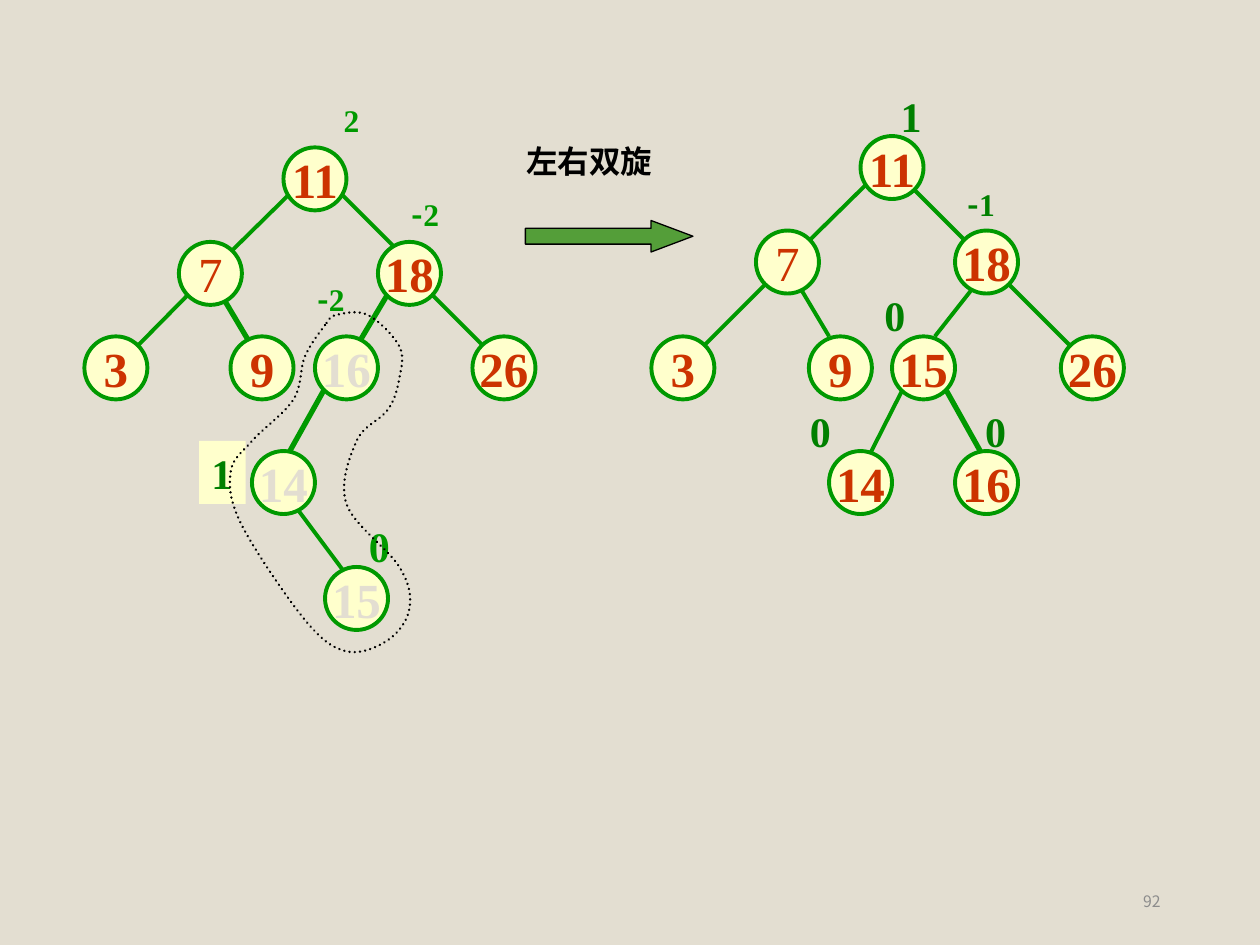
"""Draw a left-right double rotation of a balanced binary tree."""
from dataclasses import dataclass

from lxml.etree import SubElement
from pptx import Presentation
from pptx.dml.color import RGBColor
from pptx.enum.dml import MSO_LINE
from pptx.enum.shapes import MSO_CONNECTOR, MSO_SHAPE
from pptx.enum.text import MSO_ANCHOR as Anchor, MSO_AUTO_SIZE as AutoSize, PP_ALIGN as Align
from pptx.oxml.ns import qn
from pptx.slide import Slide
from pptx.util import Inches, Pt

SAND = RGBColor(0xE3, 0xDE, 0xD1)
CREAM = RGBColor(0xFF, 0xFF, 0xCC)
GREEN = RGBColor(0x00, 0x99, 0x00)
DARK_GREEN = RGBColor(0x00, 0x80, 0x00)
LEAF = RGBColor(0x54, 0x9E, 0x39)
RUST = RGBColor(0xCC, 0x33, 0x00)
GRAY = RGBColor(0x8C, 0x8C, 0x8C)
BLACK = RGBColor(0x00, 0x00, 0x00)

SERIF = "Times New Roman"
SANS = "Noto Sans CJK SC"
NODE_SIZE = 0.5

NODE_FRAME = {"word_wrap": False, "vertical_anchor": Anchor.MIDDLE}
LABEL_FRAME = {"word_wrap": False, "auto_size": AutoSize.SHAPE_TO_FIT_TEXT}
PAGE_FRAME = {"word_wrap": True, "vertical_anchor": Anchor.MIDDLE}


@dataclass(frozen=True)
class Edge:
    start: tuple[float, float]
    end: tuple[float, float]
    weight: float = 2.25


@dataclass(frozen=True)
class Node:
    key: str
    left: float
    top: float
    color: RGBColor = RUST
    bold: bool = True


@dataclass(frozen=True)
class Label:
    text: str
    left: float
    top: float
    width: float = 0.37
    size: int = 24
    color: RGBColor = DARK_GREEN
    fill: RGBColor | None = None


EDGES = [
    Edge((2.42, 1.42), (1.83, 2)), Edge((2.67, 1.5), (3.17, 2)),
    Edge((1.58, 2.25), (0.92, 2.92)), Edge((1.75, 2.33), (2, 2.75), 3),
    Edge((3.08, 2.33), (2.83, 2.75), 3), Edge((3.42, 2.33), (3.92, 2.83)),
    Edge((2.58, 3.08), (2.25, 3.67), 3), Edge((2.33, 4), (2.83, 4.67)),
    Edge((6.92, 1.42), (6.33, 2)), Edge((7.25, 1.5), (7.75, 2)),
    Edge((6.08, 2.25), (5.58, 2.75)), Edge((6.33, 2.25), (6.58, 2.67)),
    Edge((7.75, 2.25), (7.42, 2.67)), Edge((8, 2.25), (8.75, 3)),
    Edge((7.17, 3.08), (6.83, 3.75)), Edge((7.5, 3.08), (7.92, 3.83), 3),
]

NODES = [
    Node("11", 2.25, 1.17), Node("7", 1.42, 1.92, bold=False), Node("18", 3, 1.92),
    Node("3", 0.67, 2.67), Node("9", 1.83, 2.67), Node("16", 2.5, 2.67, SAND),
    Node("26", 3.75, 2.67), Node("14", 2, 3.58, SAND), Node("15", 2.58, 4.5, SAND),
    Node("11", 6.83, 1.08), Node("7", 6, 1.83, bold=False), Node("18", 7.58, 1.83),
    Node("3", 5.17, 2.67), Node("9", 6.42, 2.67), Node("15", 7.08, 2.67),
    Node("26", 8.42, 2.67), Node("14", 6.58, 3.58), Node("16", 7.58, 3.58),
]

LABELS = [
    Label("2", 2.63, 0.75, size=18, color=GREEN),
    Label("-2", 3.17, 1.5, 0.53, 18, GREEN),
    Label("-2", 2.42, 2.17, 0.53, 18, GREEN),
    Label("1", 1.58, 3.5, fill=CREAM),
    Label("0", 2.83, 4.08, color=GREEN),
    Label("左右双旋", 4.08, 1.08, 1.55, 18, BLACK),
    Label("1", 7.05, 0.67),
    Label("-1", 7.58, 1.42, 0.53, 18),
    Label("0", 6.92, 2.25),
    Label("0", 6.33, 3.17),
    Label("0", 7.72, 3.17),
]

ROTATED_PATH = [
    (2.58, 2.58), (2.42, 2.83), (2.33, 3.17), (2, 3.5), (1.83, 3.75), (1.92, 4.17),
    (2.42, 4.92), (2.75, 5.17), (3.08, 5.08), (3.25, 4.83), (3.17, 4.5), (2.75, 4),
    (2.83, 3.5), (3.08, 3.25), (3.17, 3), (3.17, 2.75), (2.92, 2.5), (2.67, 2.5),
]


def apply(target, formats: dict) -> None:
    for name, value in formats.items():
        setattr(target, name, value)


def add_run(paragraph, text: str, face: str, size: int, color: RGBColor, bold: bool) -> None:
    run = paragraph.add_run()
    run.text = text
    apply(run.font, {"name": face, "size": Pt(size), "bold": bold})
    run.font.color.rgb = color
    SubElement(run.font._element, qn("a:ea"), typeface=SANS)


def draw_edge(slide: Slide, edge: Edge) -> None:
    points = [Inches(value) for value in (*edge.start, *edge.end)]
    branch = slide.shapes.add_connector(MSO_CONNECTOR.STRAIGHT, *points)
    branch.line.color.rgb = GREEN
    branch.line.width = Pt(edge.weight)
    SubElement(branch._element.spPr, qn("a:effectLst"))


def add_solid(slide: Slide, preset, box: tuple, fill: RGBColor, line: RGBColor, weight: float):
    solid = slide.shapes.add_shape(preset, *map(Inches, box))
    solid.shadow.inherit = False
    solid.fill.solid()
    solid.fill.fore_color.rgb = fill
    solid.line.color.rgb = line
    solid.line.width = Pt(weight)
    return solid


def draw_node(slide: Slide, node: Node) -> None:
    box = (node.left, node.top, NODE_SIZE, NODE_SIZE)
    circle = add_solid(slide, MSO_SHAPE.OVAL, box, CREAM, GREEN, 2.25)
    apply(circle.text_frame, NODE_FRAME)
    key_line = circle.text_frame.paragraphs[0]
    key_line.alignment = Align.CENTER
    add_run(key_line, node.key, SERIF, 28, node.color, node.bold)


def draw_label(slide: Slide, label: Label) -> None:
    box = (label.left, label.top, label.width, 0.5)
    balance = slide.shapes.add_textbox(*map(Inches, box))
    apply(balance.text_frame, LABEL_FRAME)
    if label.fill is not None:
        balance.fill.solid()
        balance.fill.fore_color.rgb = label.fill
    balance_line = balance.text_frame.paragraphs[0]
    if label.text.startswith("-"):
        add_run(balance_line, "-", SANS, label.size, label.color, True)
    add_run(balance_line, label.text.lstrip("-"), SERIF, label.size, label.color, True)


def bezier_points(knots: list[tuple[float, float]]) -> list[list[int]]:
    """Return three cubic points for each stretch of a closed smooth curve."""
    points = []
    for index in range(len(knots)):
        nearby = [knots[(index + shift) % len(knots)] for shift in (-1, 0, 1, 2)]
        before, start, end, after = nearby
        leaving = [s + (e - b) / 6 for b, s, e in zip(before, start, end)]
        arriving = [e - (a - s) / 6 for s, e, a in zip(start, end, after)]
        points += [[Inches(value) for value in point] for point in (leaving, arriving, end)]
    return points


def draw_outline(slide: Slide, knots: list[tuple[float, float]]) -> None:
    builder = slide.shapes.build_freeform(*map(Inches, knots[0]))
    builder.add_line_segments(bezier_points(knots), close=True)
    outline = builder.convert_to_shape()
    outline.shadow.inherit = False
    outline.fill.background()
    outline.line.color.rgb = BLACK
    apply(outline.line, {"width": Pt(1.5), "dash_style": MSO_LINE.ROUND_DOT})
    outline._element.spPr.find(qn("a:ln")).set("cap", "rnd")
    contour = next(outline._element.iter(qn("a:path")))
    segments = contour.findall(qn("a:lnTo"))
    for first in range(0, len(segments), 3):
        curve = SubElement(contour, qn("a:cubicBezTo"))
        for segment in segments[first:first + 3]:
            curve.append(segment[0])
            contour.remove(segment)
    contour.append(contour.find(qn("a:close")))


def draw_page_number(slide: Slide, number: str) -> None:
    footer = slide.shapes.add_textbox(Inches(7.06), Inches(6.95), Inches(2.25), Inches(0.4))
    apply(footer.text_frame, PAGE_FRAME)
    footer_line = footer.text_frame.paragraphs[0]
    footer_line.alignment = Align.RIGHT
    add_run(footer_line, number, SANS, 9, GRAY, False)


def main() -> None:
    deck = Presentation()
    apply(deck, {"slide_width": Inches(10), "slide_height": Inches(7.5)})
    slide = deck.slides.add_slide(deck.slide_layouts[6])
    slide.background.fill.solid()
    slide.background.fill.fore_color.rgb = SAND
    for draw, items in ((draw_edge, EDGES), (draw_node, NODES), (draw_label, LABELS)):
        for item in items:
            draw(slide, item)
    rotation = add_solid(slide, MSO_SHAPE.RIGHT_ARROW, (4.17, 1.75, 1.33, 0.25), LEAF, BLACK, 0.75)
    rotation.adjustments[1] = 1.33
    draw_outline(slide, ROTATED_PATH)
    draw_page_number(slide, "92")
    deck.save("out.pptx")


if __name__ == "__main__":
    main()
